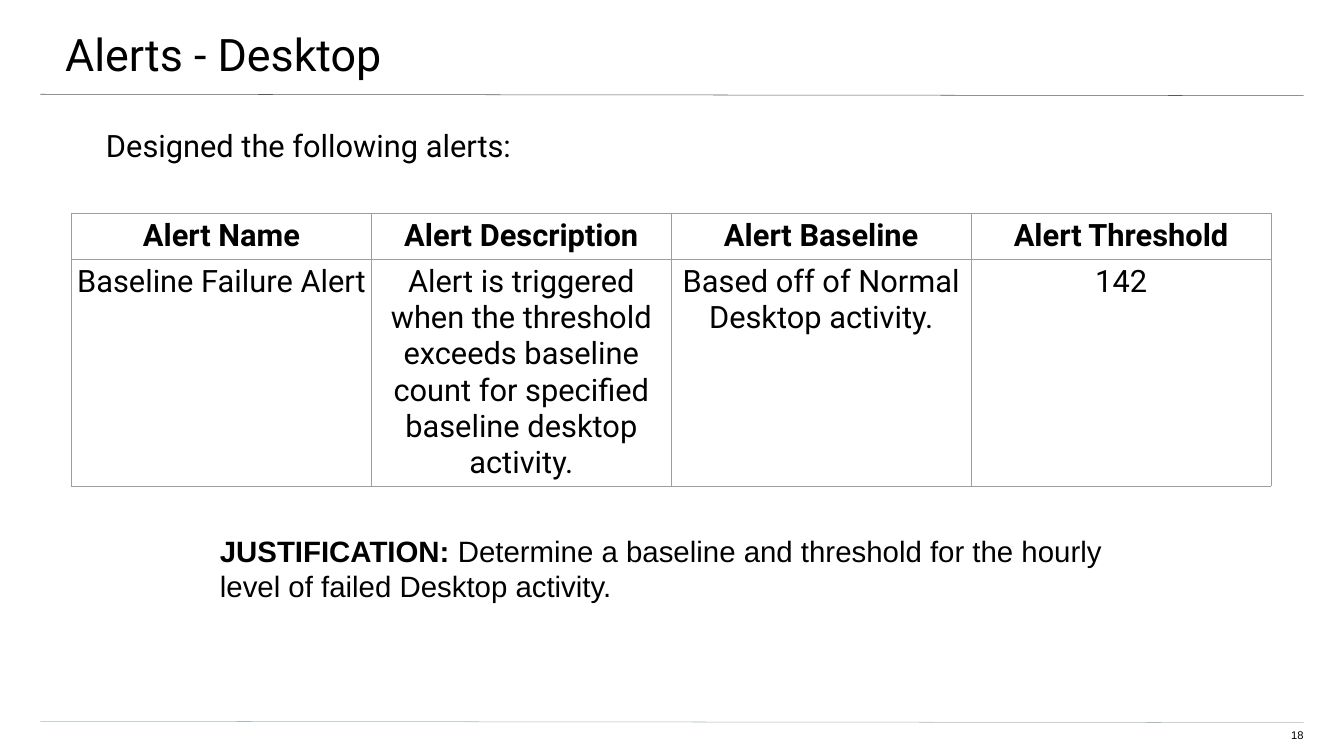
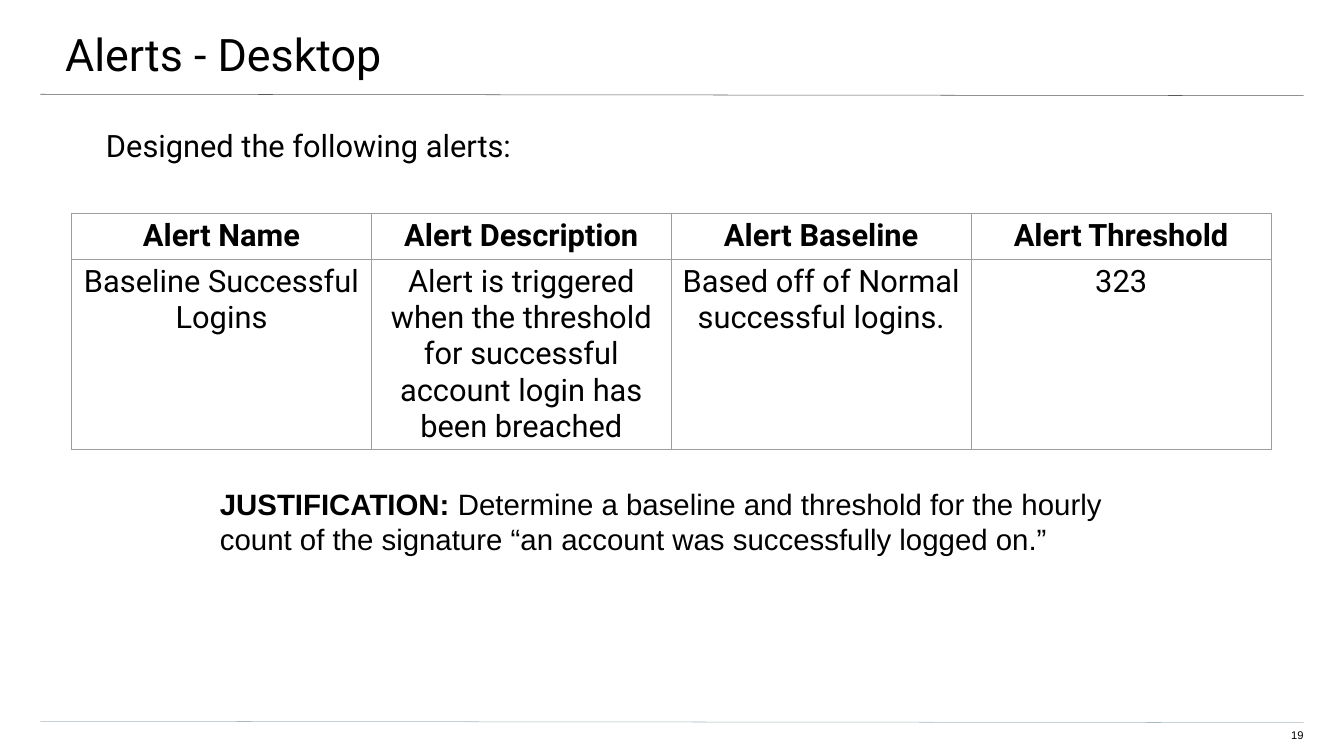
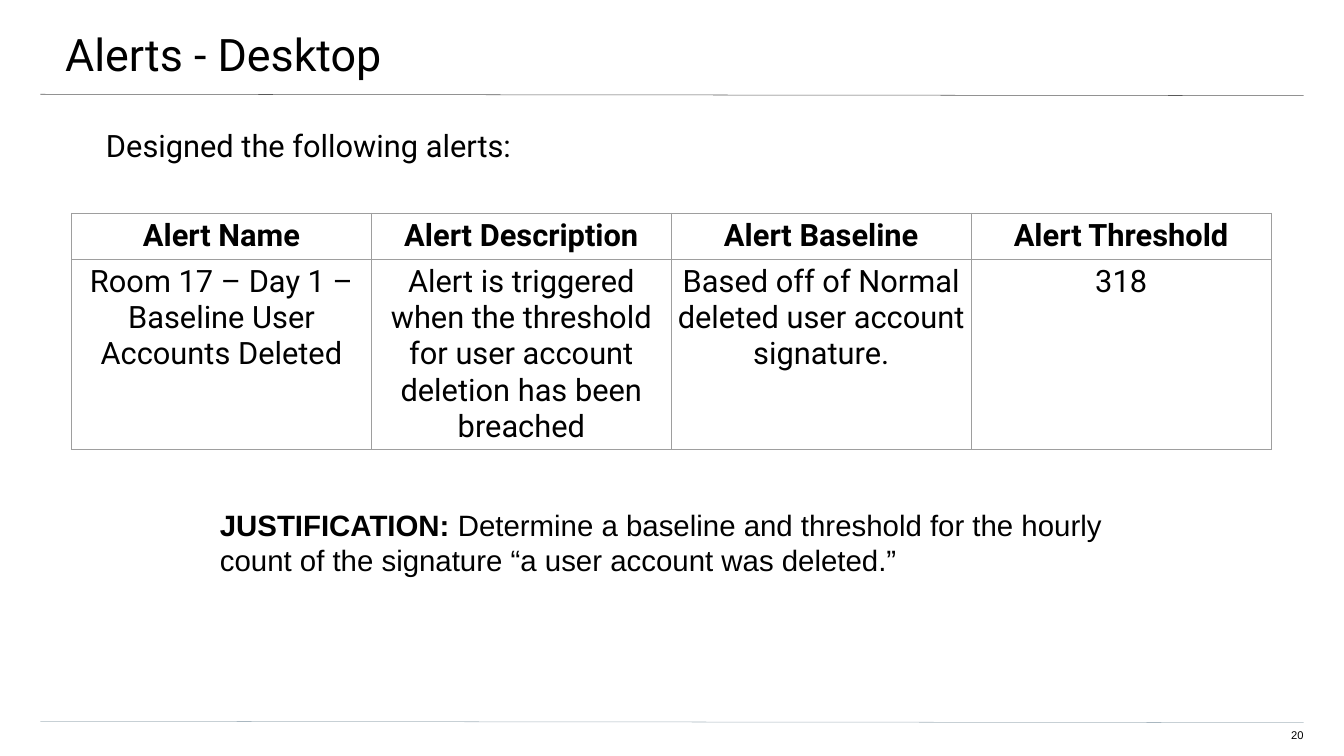
from lxml.etree import SubElement
from pptx import Presentation
from pptx.dml.color import RGBColor
from pptx.enum.shapes import MSO_CONNECTOR
from pptx.enum.text import MSO_ANCHOR, MSO_AUTO_SIZE, PP_ALIGN
from pptx.oxml.ns import qn
from pptx.util import Cm, Pt

BLACK = RGBColor(0x00, 0x00, 0x00)
TITLE_RULE = RGBColor(0x59, 0x59, 0x59)
FOOTER_RULE = RGBColor(0xA9, 0xB7, 0xC0)
TABLE_BORDER = RGBColor(0x9E, 0x9E, 0x9E)
HEADING_FONT, NOTE_FONT = "Roboto", "Arial"

TITLE_BOX = (-0.1, 0, 67.89, 3.96)
BODY_BOX = (1.96, 6.38, 63.73, 27.41)
NUMBER_BOX = (63.75, 36.73, 1.93, 0.79)
RULE_LEFT, RULE_RIGHT, RULE_DROP = 2.03, 65.68, 0.07
TABLE_LEFT, TABLE_TOP, COLUMN_WIDTH = 3.61, 10.74, 15.11
CELL_INSET, LINE_HEIGHT = 0.25, 1.82
NOTE_LEFT, NOTE_WIDTH, NOTE_HEIGHT = 10.83, 46.02, 4.11

FIRST_PAGE = 18
TITLE = "Alerts - Desktop"
INTRO = "Designed the following alerts:"
HEADERS = ["Alert Name", "Alert Description", "Alert Baseline", "Alert Threshold"]
ALERTS = [
    {
        "cells": [
            "Baseline Failure Alert",
            "Alert is triggered when the threshold exceeds baseline count "
            "for specified baseline desktop activity.",
            "Based off of Normal Desktop activity.",
            "142",
        ],
        "lines": 6,
        "note_top": 26.62,
        "reason": "level of failed Desktop activity.",
    },
    {
        "cells": [
            "Baseline Successful Logins",
            "Alert is triggered when the threshold for successful account "
            "login has been breached",
            "Based off of Normal successful logins.",
            "323",
        ],
        "lines": 5,
        "note_top": 24.23,
        "reason": "count of the signature “an account was successfully logged on.”",
    },
    {
        "cells": [
            "Room 17 – Day 1 – Baseline User Accounts Deleted",
            "Alert is triggered when the threshold for user account "
            "deletion has been breached",
            "Based off of Normal deleted user account signature.",
            "318",
        ],
        "lines": 5,
        "note_top": 25.3,
        "reason": "count of the signature “a user account was deleted.”",
    },
]


def style_para(para, font, size, align=PP_ALIGN.LEFT, bold=False):
    """Set the alignment and font of one paragraph."""
    para.alignment = align
    para.font.name = font
    para.font.size = Pt(size)
    para.font.bold = bold
    para.font.color.rgb = BLACK


def place(shape, box):
    """Move a shape to a box of left, top, width and height."""
    shape.left, shape.top, shape.width, shape.height = map(Cm, box)


def prepare_frame(shape, insets):
    """Give a text frame its insets and return its first paragraph."""
    frame = shape.text_frame
    frame.word_wrap = True
    frame.auto_size = MSO_AUTO_SIZE.NONE
    frame.vertical_anchor = MSO_ANCHOR.TOP
    (frame.margin_left, frame.margin_top,
     frame.margin_right, frame.margin_bottom) = map(Cm, insets)
    return frame.paragraphs[0]


def add_rule(page, top, color):
    """Draw a thin, slightly falling line across the page."""
    rule = page.shapes.add_connector(
        MSO_CONNECTOR.STRAIGHT,
        Cm(RULE_LEFT), Cm(top), Cm(RULE_RIGHT), Cm(top + RULE_DROP))
    rule.line.color.rgb = color
    rule.line.width = Pt(0.75)
    SubElement(rule._element.spPr, qn("a:effectLst"))


def add_frame(page, number):
    """Add the rules, title and page number every page shares."""
    add_rule(page, 4.75, TITLE_RULE)
    add_rule(page, 36.35, FOOTER_RULE)
    title = page.shapes.title
    place(title, TITLE_BOX)
    para = prepare_frame(title, (3.38, 1.35, 2.03, 0.68))
    para.text = TITLE
    style_para(para, HEADING_FONT, 64)
    number_box = page.shapes.add_textbox(*map(Cm, NUMBER_BOX))
    para = prepare_frame(number_box, (0, 0, 0, 0.68))
    para.text = str(number)
    style_para(para, NOTE_FONT, 16, PP_ALIGN.RIGHT)


def add_intro(page):
    """Fill the body placeholder with the unbulleted opening line."""
    body = page.placeholders[1]
    place(body, BODY_BOX)
    para = prepare_frame(body, (3.38, 0, 3.38, 6.78))
    para.text = INTRO
    properties = para._p.get_or_add_pPr()
    properties.set("marL", "0")
    properties.set("indent", "0")
    SubElement(properties, qn("a:buNone"))
    para.space_before = Pt(0)
    style_para(para, HEADING_FONT, 44)


def add_borders(cell):
    """Outline a table cell on all four sides."""
    properties = cell._tc.get_or_add_tcPr()
    for side in ("lnL", "lnR", "lnT", "lnB"):
        line = SubElement(properties, qn(f"a:{side}"), w=str(Pt(0.75)))
        fill = SubElement(line, qn("a:solidFill"))
        SubElement(fill, qn("a:srgbClr"), val=str(TABLE_BORDER))


def add_alert_table(page, cells, lines):
    """Add the header row and one alert row of the given line count."""
    heights = [count * LINE_HEIGHT + 2 * CELL_INSET for count in (1, lines)]
    table = page.shapes.add_table(
        2, len(HEADERS), Cm(TABLE_LEFT), Cm(TABLE_TOP),
        Cm(COLUMN_WIDTH * len(HEADERS)), Cm(sum(heights))).table
    table.first_row = table.horz_banding = False
    for column in table.columns:
        column.width = Cm(COLUMN_WIDTH)
    for row, height, texts in zip(table.rows, heights, (HEADERS, cells)):
        row.height = Cm(height)
        for cell, text in zip(row.cells, texts):
            cell.margin_left = cell.margin_right = Cm(CELL_INSET)
            cell.margin_top = cell.margin_bottom = Cm(CELL_INSET)
            add_borders(cell)
            cell.fill.background()
            para = cell.text_frame.paragraphs[0]
            para.text = text
            style_para(para, HEADING_FONT, 44, PP_ALIGN.CENTER, texts is HEADERS)


def add_justification(page, top, reason):
    """Add the note that explains the alert."""
    note = page.shapes.add_textbox(
        *map(Cm, (NOTE_LEFT, top, NOTE_WIDTH, NOTE_HEIGHT)))
    para = prepare_frame(note, [CELL_INSET] * 4)
    style_para(para, NOTE_FONT, 42)
    label = para.add_run()
    label.text = "JUSTIFICATION: "
    label.font.bold = True
    span = para.add_run()
    span.text = f"Determine a baseline and threshold for the hourly {reason}"


def add_alert_page(deck, number, alert):
    """Build one page that describes one alert."""
    page = deck.slides.add_slide(deck.slide_layouts[1])
    add_frame(page, number)
    add_intro(page)
    add_alert_table(page, alert["cells"], alert["lines"])
    add_justification(page, alert["note_top"], alert["reason"])


def main():
    """Build the deck and save it."""
    deck = Presentation()
    deck.slide_width, deck.slide_height = Cm(67.72), Cm(38.1)
    for number, alert in enumerate(ALERTS, FIRST_PAGE):
        add_alert_page(deck, number, alert)
    deck.save("out.pptx")


if __name__ == "__main__":
    main()
